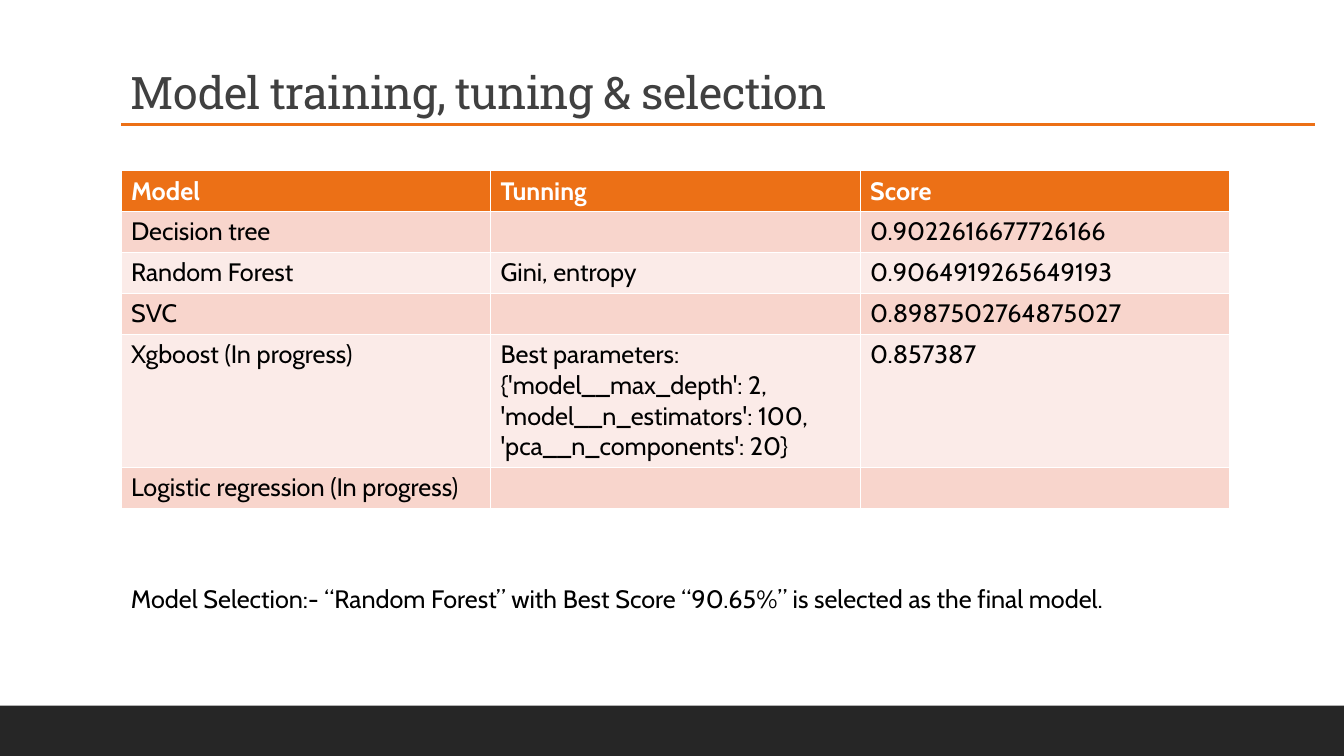
from lxml.etree import SubElement
from pptx import Presentation
from pptx.dml.color import RGBColor
from pptx.enum.shapes import MSO_CONNECTOR, MSO_SHAPE
from pptx.enum.text import MSO_ANCHOR
from pptx.oxml.ns import qn
from pptx.util import Cm, Pt

COLORS = {
    "accent": "EC7016",
    "footer": "262626",
    "title": "404040",
    "text": "000000",
    "header_text": "FFFFFF",
    "band_dark": "F8D5CC",
    "band_light": "FBEBE8",
}
TITLE_FONT, BODY_FONT = "Roboto Slab", "Cabin"
SLIDE_W, SLIDE_H = Cm(33.87), Cm(19.05)
LEFT, CONTENT_W = Cm(3.05), Cm(27.94)
ROW_H, TALL_ROW_H = Cm(1.03), Cm(3.36)
TALL_ROW = 4

MODELS = [
    ("Model", "Tunning", "Score"),
    ("Decision tree", "", "0.9022616677726166"),
    ("Random Forest", "Gini, entropy", "0.9064919265649193"),
    ("SVC", "", "0.8987502764875027"),
    ("Xgboost (In progress)",
     "Best parameters: {'model__max_depth': 2, "
     "'model__n_estimators': 100, 'pca__n_components': 20}",
     "0.857387"),
    ("Logistic regression (In progress)", "", ""),
]


def rgb(name):
    return RGBColor.from_string(COLORS[name])


def style_font(font, name, size, color, bold=False):
    font.name, font.size, font.bold = name, Pt(size), bold
    font.color.rgb = rgb(color)


def add_text(slide, box, text, font, size, color, anchor=MSO_ANCHOR.TOP):
    """Add a wrapped one-paragraph text box and return its paragraph."""
    tf = slide.shapes.add_textbox(*box).text_frame
    tf.word_wrap = True
    tf.vertical_anchor = anchor
    p = tf.paragraphs[0]
    p.text = text
    style_font(p.runs[0].font, font, size, color)
    return p


def add_footer(slide, box):
    sp = slide.shapes.add_shape(MSO_SHAPE.RECTANGLE, *box)
    sp.shadow.inherit = False
    sp.fill.solid()
    sp.fill.fore_color.rgb = rgb("footer")
    sp.line.fill.background()


def add_title(slide, box, rule_w):
    """Add the title with a rule along the bottom of its box."""
    p = add_text(slide, box, "Model training, tuning & selection",
                 TITLE_FONT, 32, "title", MSO_ANCHOR.BOTTOM)
    p.line_spacing = 0.9
    p.runs[0].font._element.set("spc", "-50")
    left, top, _, height = box
    y = top + height
    rule = slide.shapes.add_connector(
        MSO_CONNECTOR.STRAIGHT, left, y, left + rule_w, y)
    rule.line.color.rgb = rgb("accent")
    rule.line.width = Pt(2.25)
    SubElement(rule._element.spPr, qn("a:effectLst"))


def add_model_table(slide, box):
    table = slide.shapes.add_table(len(MODELS), len(MODELS[0]), *box).table
    for i, values in enumerate(MODELS):
        header = i == 0
        table.rows[i].height = TALL_ROW_H if i == TALL_ROW else ROW_H
        fill = "accent" if header else "band_dark" if i % 2 else "band_light"
        for cell, value in zip(table.rows[i].cells, values):
            cell.fill.solid()
            cell.fill.fore_color.rgb = rgb(fill)
            if value:
                p = cell.text_frame.paragraphs[0]
                p.text = value
                style_font(p.runs[0].font, BODY_FONT, 18,
                           "header_text" if header else "text", header)


def main():
    prs = Presentation()
    prs.slide_width, prs.slide_height = SLIDE_W, SLIDE_H
    slide = prs.slides.add_slide(prs.slide_layouts[6])
    footer_h = Cm(1.27)
    add_footer(slide, (0, SLIDE_H - footer_h, SLIDE_W, footer_h))
    add_title(slide, (LEFT, Cm(0.79), CONTENT_W, Cm(2.34)), Cm(30.1))
    table_h = ROW_H * (len(MODELS) - 1) + TALL_ROW_H
    add_model_table(slide, (LEFT, Cm(4.3), CONTENT_W, table_h))
    add_text(slide, (LEFT, Cm(14.58), CONTENT_W, Cm(1.03)),
             "Model Selection:- “Random Forest” with Best Score “90.65%” "
             "is selected as the final model.", BODY_FONT, 18, "text")
    prs.save("out.pptx")


if __name__ == "__main__":
    main()
